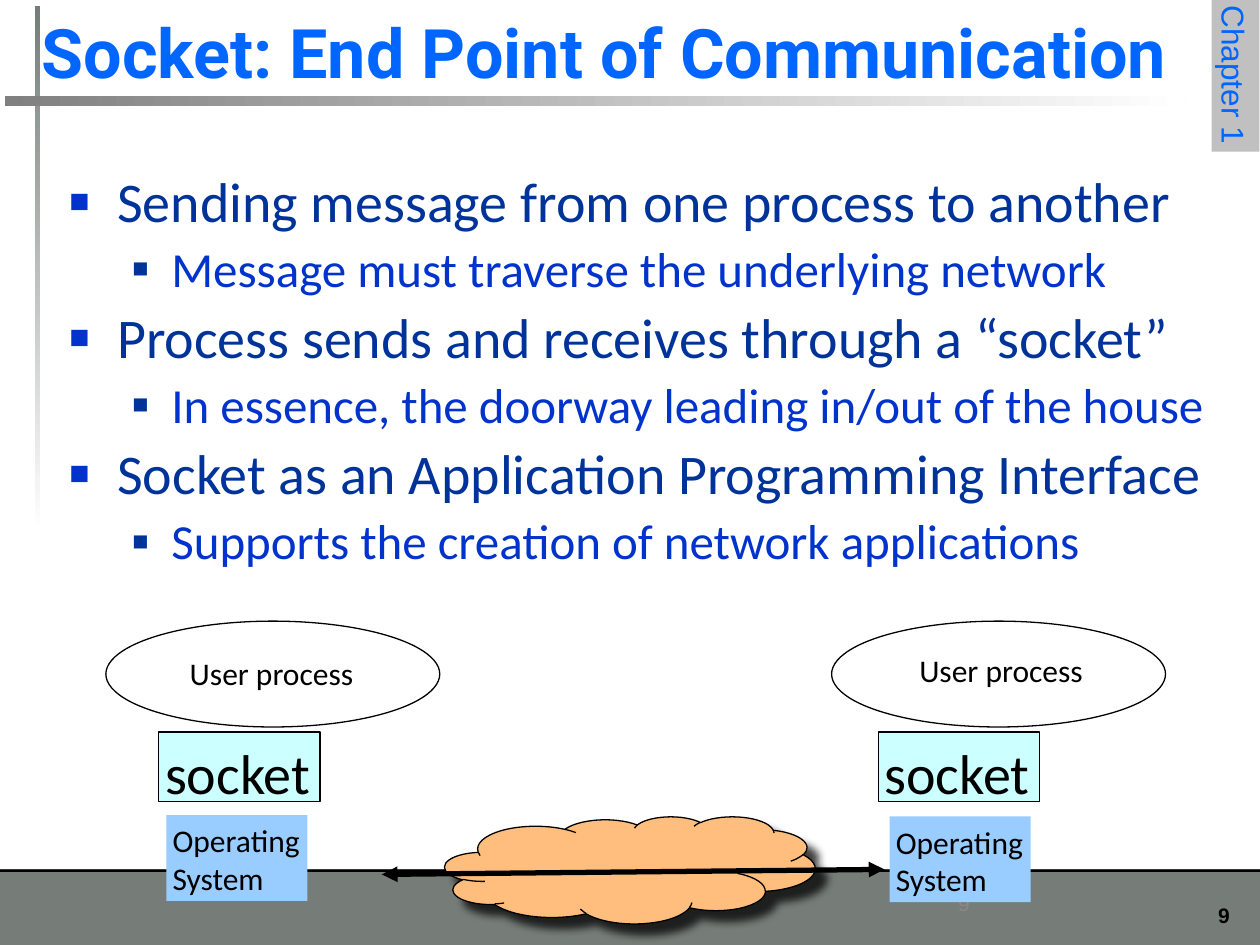
from lxml import etree
from pptx import Presentation
from pptx.dml.color import RGBColor
from pptx.enum.shapes import MSO_CONNECTOR, MSO_SHAPE
from pptx.enum.text import MSO_ANCHOR, MSO_AUTO_SIZE, PP_ALIGN
from pptx.oxml.ns import qn
from pptx.util import Inches, Pt

RECT, OVAL, CLOUD = MSO_SHAPE.RECTANGLE, MSO_SHAPE.OVAL, MSO_SHAPE.CLOUD
STRAIGHT = MSO_CONNECTOR.STRAIGHT
TOP, BOTTOM = MSO_ANCHOR.TOP, MSO_ANCHOR.BOTTOM
LEFT, CENTER, RIGHT = PP_ALIGN.LEFT, PP_ALIGN.CENTER, PP_ALIGN.RIGHT
FIT, FIXED = MSO_AUTO_SIZE.SHAPE_TO_FIT_TEXT, MSO_AUTO_SIZE.NONE

# The page is a grid of 10 columns by 7.5 rows
WIDTH, HEIGHT = Inches(10), Inches(7.5)
COLUMN, ROW = WIDTH / 10, HEIGHT / 7.5

COLORS = {
    "black": "000000", "white": "FFFFFF", "floor": "767D79", "bar": "808080",
    "tab": "C0C0C0", "title": "0066FF", "point": "003399", "detail": "0033CC",
    "faint": "898989", "socket": "CCFFFF", "system": "99CCFF", "cloud": "FFBE7D",
}
POINTS = [
    (0, "Sending message from one process to another"),
    (1, "Message must traverse the underlying network"),
    (0, "Process sends and receives through a “socket”"),
    (1, "In essence, the doorway leading in/out of the house"),
    (0, "Socket as an Application Programming Interface"),
    (1, "Supports the creation of network applications"),
]
# Per level: size, text colour, bullet colour, bullet %, margin, indent, space before
LEVELS = [
    (32, "point", "detail", 60, 0.38, 0.38, 7),
    (28, "detail", "point", 55, 0.81, 0.31, 6),
]


def color(name):
    return RGBColor.from_string(COLORS[name])


def place(box):
    left, top, width, height = box
    return [int(n) for n in (left * COLUMN, top * ROW, width * COLUMN, height * ROW)]


def shift(box, right, down, width, height):
    return box[0] + right, box[1] + down, width, height


def add_child(parent, tag, **attributes):
    return etree.SubElement(parent, qn(tag), attributes)


def write(shape, lines, size, font="Calibri", ink="black", bold=False,
          align=LEFT, anchor=TOP, wrap=False, fit=FIT):
    frame = shape.text_frame
    frame.word_wrap, frame.auto_size, frame.vertical_anchor = wrap, fit, anchor
    frame.margin_left = frame.margin_right = Inches(0.05)
    frame.margin_top = frame.margin_bottom = Inches(0.05)
    for index, line in enumerate(lines):
        para = frame.add_paragraph() if index else frame.paragraphs[0]
        para.alignment = align
        span = para.add_run()
        span.text = line
        span.font.size, span.font.name, span.font.bold = Pt(size), font, bold
        span.font.color.rgb = color(ink)
    return frame


def add_label(page, box, lines, size, **format):
    return write(page.shapes.add_textbox(*place(box)), lines, size, **format)


def add_block(page, kind, box, fill=None, line=None):
    shape = page.shapes.add_shape(kind, *place(box))
    shape.shadow.inherit = False
    if fill:
        shape.fill.solid()
        shape.fill.fore_color.rgb = color(fill)
    else:
        shape.fill.background()
    if line:
        shape.line.color.rgb = color(line)
        shape.line.width = Pt(0.75)
    else:
        shape.line.fill.background()
    return shape


def add_fading_bar(page, box, start, angle):
    bar = add_block(page, RECT, box)
    bar.fill.gradient()
    bar.fill.gradient_angle = angle
    for stop, position, name in zip(bar.fill.gradient_stops, (0, 1), (start, "white")):
        stop.position = position
        stop.color.rgb = color(name)


def add_frame(page, box):
    """Floor, fading rules and chapter tab."""
    _, _, width, height = box
    add_block(page, RECT, shift(box, 0, height - 0.6, width, 0.6), "floor")
    add_block(page, RECT, shift(box, 0, height - 0.6, width, 0.02), "black")
    add_fading_bar(page, shift(box, 0.28, 0.05, 0.04, 4.17), "floor", 270)
    add_fading_bar(page, shift(box, 0.04, 0.76, 9.37, 0.08), "bar", 0)
    tab = add_block(page, RECT, shift(box, width - 0.8, 0.41, 1.21, 0.38), "tab")
    tab.rotation = 90
    write(tab, ["Chapter 1"], 18, font="Arial", ink="title")


def add_title(page, box, text):
    title = page.shapes.title
    title.left, title.top, title.width, title.height = place(box)
    write(title, [text], 39, font="Roboto", ink="title", bold=True,
          anchor=BOTTOM, wrap=True, fit=FIXED)


def add_points(page, box):
    """Two-level bulleted list."""
    frame = add_label(page, box, [text for _, text in POINTS], 32, wrap=True, fit=FIXED)
    for para, (level, _) in zip(frame.paragraphs, POINTS):
        size, ink, bullet, percent, margin, indent, before = LEVELS[level]
        para.level = level
        para.line_spacing, para.space_before = 0.9, Pt(before)
        font = para.runs[0].font
        font.size, font.color.rgb = Pt(size), color(ink)
        properties = para._p.get_or_add_pPr()
        properties.set("marL", str(Inches(margin)))
        properties.set("indent", str(-Inches(indent)))
        add_child(add_child(properties, "a:buClr"), "a:srgbClr", val=COLORS[bullet])
        add_child(properties, "a:buSzPct", val=str(percent * 1000))
        add_child(properties, "a:buFont", typeface="Arial")
        add_child(properties, "a:buChar", char="■")


def add_host(page, box, label_at, socket_at, system_at):
    """User process above its socket and operating system."""
    add_block(page, OVAL, shift(box, 0, 0, box[2], 0.84), line="black")
    socket = add_block(page, RECT, shift(box, *socket_at, 1.28, 0.55), "socket", "black")
    write(socket, ["socket"], 32, fit=FIXED)
    add_label(page, shift(box, *label_at, 1.41, 0.36), ["User process"], 18, align=CENTER)
    system = add_block(page, RECT, shift(box, *system_at, 1.12, 0.68), "system")
    write(system, ["Operating", "System"], 18)


def add_network(page, box):
    """Cloud with a soft shadow, crossed by a two-way arrow."""
    cloud = add_block(page, CLOUD, box, "cloud", "black")
    effects = cloud._element.spPr.find(qn("a:effectLst"))
    shadow = add_child(effects, "a:outerShdw", blurRad=str(Pt(5)), dist=str(Pt(8.5)),
                       dir=str(45 * 60000), algn="ctr", rotWithShape="0")
    shade = add_child(shadow, "a:srgbClr", val=COLORS["black"])
    add_child(shade, "a:alpha", val="75000")

    left, top, _, _ = shift(box, -0.5, 0.46, 0, 0)
    right, end, _, _ = shift(box, box[2] + 0.55, 0.42, 0, 0)
    ends = [int(n) for n in (left * COLUMN, top * ROW, right * COLUMN, end * ROW)]
    arrow = page.shapes.add_connector(STRAIGHT, *ends)
    arrow.line.color.rgb = color("black")
    arrow.line.width = Pt(3)
    line = arrow.line._get_or_add_ln()
    add_child(line, "a:headEnd", type="triangle")
    add_child(line, "a:tailEnd", type="triangle")
    add_child(arrow._element.spPr, "a:effectLst")


def main():
    deck = Presentation()
    deck.slide_width, deck.slide_height = WIDTH, HEIGHT
    page = deck.slides.add_slide(deck.slide_layouts[5])

    add_frame(page, (0, 0, 10, 7.5))
    add_title(page, (0.28, -0.47, 10, 1.25), "Socket: End Point of Communication")
    add_points(page, (0.5, 1.33, 9.25, 3.38))

    # Page numbers
    add_label(page, (9.6, 7.11, 0.21, 0.29), ["9"], 12, font="Arial", bold=True, align=RIGHT)
    add_label(page, (7.55, 7.02, 2.23, 0.29), ["9"], 12, font="Courier New",
              ink="faint", wrap=True)

    # Two hosts joined by the network
    add_host(page, (0.84, 4.93, 2.65, 2.22), (0.61, 0.21), (0.42, 0.88), (0.48, 1.54))
    add_host(page, (6.6, 4.93, 2.65, 2.22), (0.64, 0.19), (0.37, 0.88), (0.46, 1.55))
    add_network(page, (3.53, 6.48, 2.94, 0.85))

    deck.save("out.pptx")


if __name__ == "__main__":
    main()
